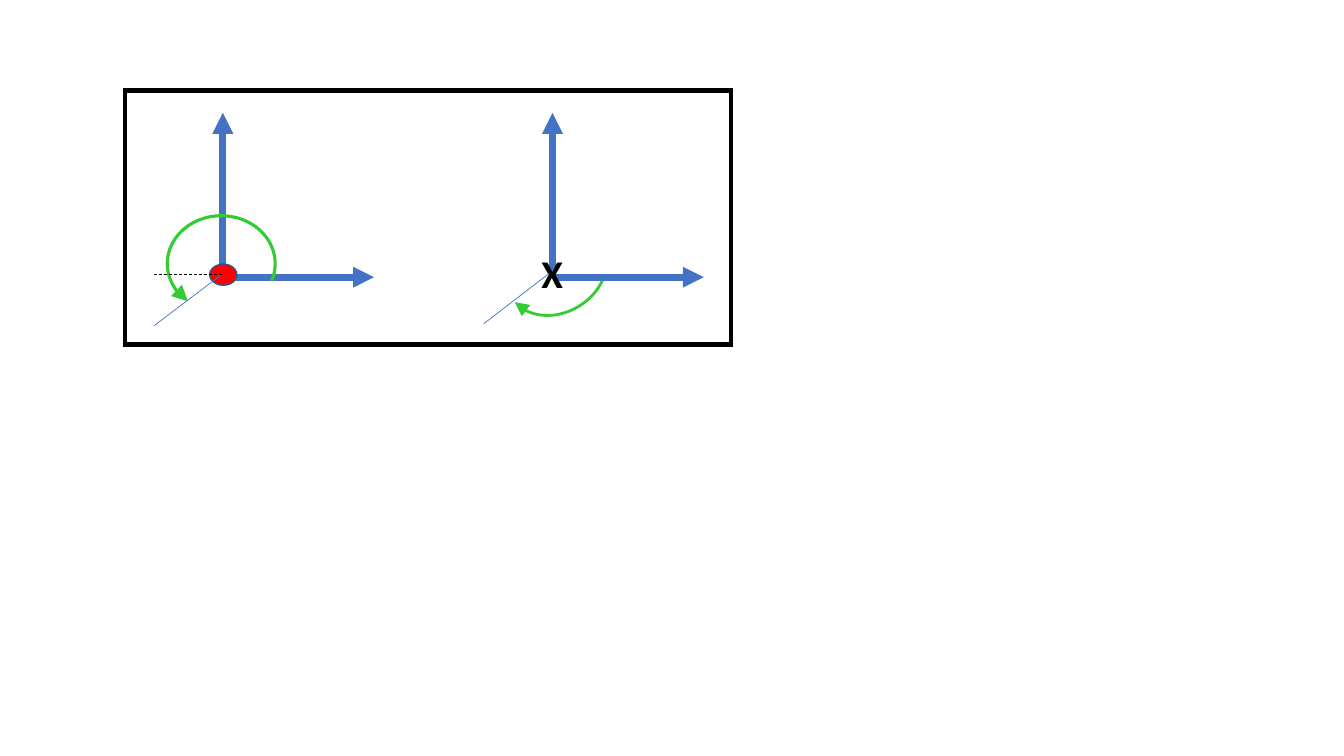
"""Build a slide with two pairs of axes and their rotation arcs inside a frame."""
from dataclasses import dataclass

from pptx import Presentation
from pptx.dml.color import RGBColor
from pptx.enum.dml import MSO_LINE
from pptx.enum.shapes import MSO_CONNECTOR, MSO_SHAPE
from pptx.enum.text import MSO_AUTO_SIZE
from pptx.oxml.ns import qn
from pptx.oxml.xmlchemy import OxmlElement
from pptx.util import Inches, Pt


@dataclass(frozen=True)
class Theme:
    axis: str = "4472C4"
    dot: str = "FF0000"
    dot_edge: str = "325491"
    turn: str = "33CC33"
    ink: str = "000000"
    font: str = "Calibri"
    mark_size: int = 28


THEME = Theme()

LEFT_ORIGIN = (2.21, 2.75)
RIGHT_ORIGIN = (5.48, 2.75)
AXIS_TIPS = [(0, -1.63), (1.5, 0)]
AXIS_WIDTH = 5
THIN = 0.5

FRAME = (1.24, 0.9, 6.01, 2.52)
DOT = (2.08, 2.62, 0.27, 0.21)
LEFT_ARC = (1.66, 2.14, 1.07, 0.95)
LEFT_ANGLES = (78.96, 11.33)
RIGHT_ARC = (4.98, 2.21, 1.07, 0.89)
RIGHT_ANGLES = (3.77, 78.3)
RIGHT_ROTATION = 146.4

LEFT_RAY = ((2.19, 2.73), (1.53, 3.23))
RIGHT_RAY = ((5.45, 2.71), (4.8, 3.21))
BASELINE = ((1.53, 2.72), (2.21, 2.72))
MARK = "X"
MARK_BOX = (5.27, 2.42, 0.42, 0.57)


def inches(values):
    return [Inches(value) for value in values]


def style_line(line, color, width):
    line.color.rgb = RGBColor.from_string(color)
    line.width = Pt(width)


def add_line_detail(shape, tag, **attributes):
    detail = OxmlElement(f"a:{tag}")
    for key, value in attributes.items():
        detail.set(key, value)
    shape.line._get_or_add_ln().append(detail)


def add_line(shapes, start, finish, color, width):
    connector = shapes.add_connector(MSO_CONNECTOR.STRAIGHT, *inches(start + finish))
    style_line(connector.line, color, width)
    connector.element.spPr.append(OxmlElement("a:effectLst"))
    return connector


def add_axes(shapes, origin):
    for across, down in AXIS_TIPS:
        tip = (origin[0] + across, origin[1] + down)
        axis = add_line(shapes, origin, tip, THEME.axis, AXIS_WIDTH)
        add_line_detail(axis, "tailEnd", type="triangle")


def add_outline(shapes, kind, area, color, width, fill=None):
    shape = shapes.add_shape(kind, *inches(area))
    shape.shadow.inherit = False
    if fill:
        shape.fill.solid()
        shape.fill.fore_color.rgb = RGBColor.from_string(fill)
    else:
        shape.fill.background()
    style_line(shape.line, color, width)
    return shape


def add_turn(shapes, area, angles, width):
    arc = add_outline(shapes, MSO_SHAPE.ARC, area, THEME.turn, width)
    for index, angle in enumerate(angles):
        arc.adjustments[index] = angle
    add_line_detail(arc, "headEnd", type="triangle", w="lg", len="lg")
    return arc


def add_mark(shapes):
    box = shapes.add_textbox(*inches(MARK_BOX))
    box.text_frame.word_wrap = False
    box.text_frame.auto_size = MSO_AUTO_SIZE.SHAPE_TO_FIT_TEXT
    para = box.text_frame.paragraphs[0]
    para.text = MARK
    para.font.name = THEME.font
    para.font.size = Pt(THEME.mark_size)
    para.font.bold = True
    para.font.color.rgb = RGBColor.from_string(THEME.ink)


def main():
    deck = Presentation()
    deck.slide_width, deck.slide_height = inches((13.33, 7.5))
    page = deck.slides.add_slide(deck.slide_layouts[6])

    diagram = page.shapes.add_group_shape()
    add_axes(diagram.shapes, LEFT_ORIGIN)
    add_outline(diagram.shapes, MSO_SHAPE.OVAL, DOT, THEME.dot_edge, 1, THEME.dot)
    add_turn(diagram.shapes, LEFT_ARC, LEFT_ANGLES, 2.25)
    add_line(diagram.shapes, *LEFT_RAY, THEME.axis, THIN)
    add_axes(diagram.shapes, RIGHT_ORIGIN)
    frame = add_outline(diagram.shapes, MSO_SHAPE.RECTANGLE, FRAME, THEME.ink, 3.5)
    add_line_detail(frame, "miter", lim="800000")

    baseline = add_line(page.shapes, *BASELINE, THEME.ink, THIN)
    baseline.line.dash_style = MSO_LINE.DASH
    right_turn = add_turn(page.shapes, RIGHT_ARC, RIGHT_ANGLES, 2)
    right_turn.rotation = RIGHT_ROTATION
    right_turn.element.spPr.find(qn("a:xfrm")).set("flipV", "1")
    add_mark(page.shapes)
    add_line(page.shapes, *RIGHT_RAY, THEME.axis, THIN)

    deck.save("out.pptx")


if __name__ == "__main__":
    main()
